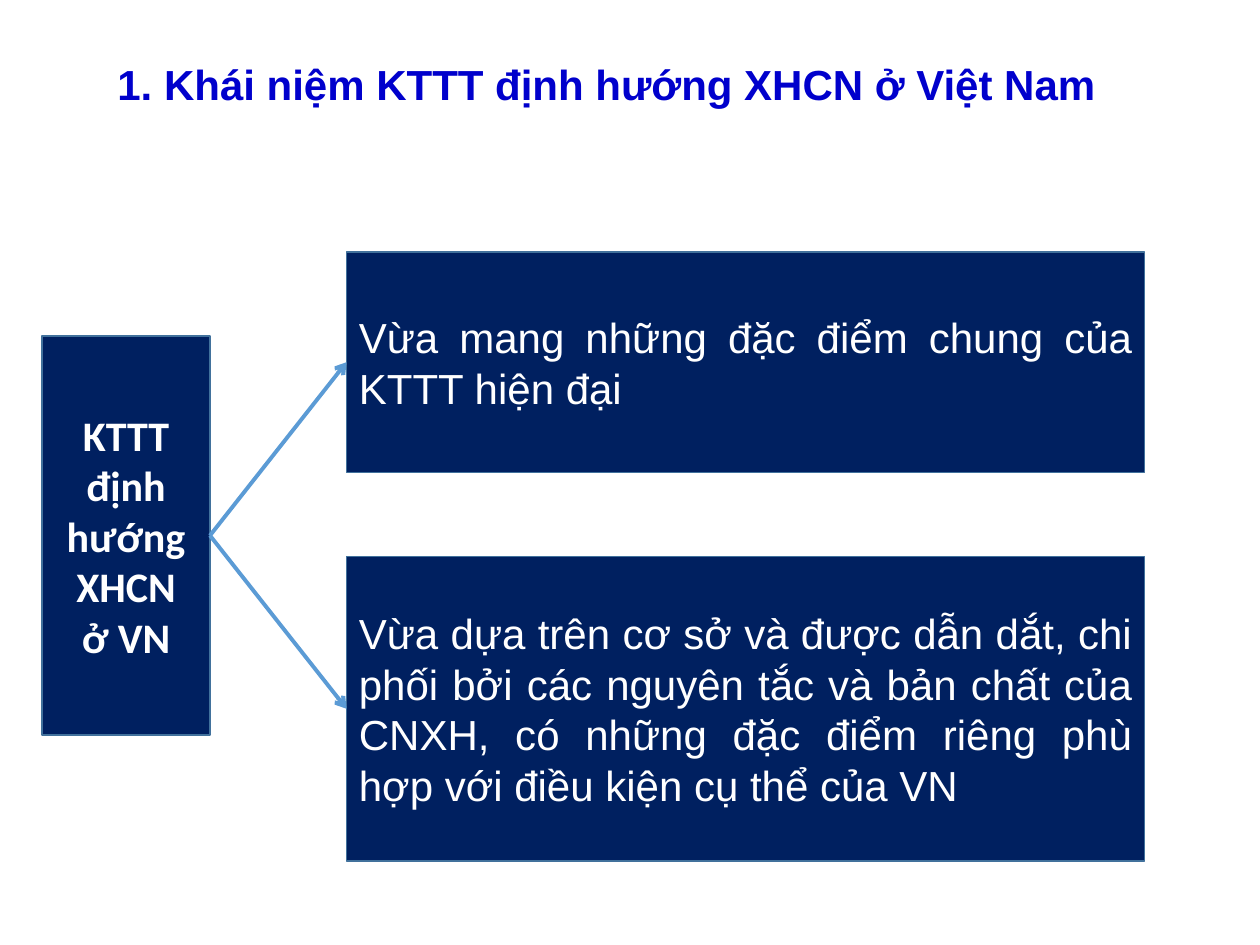
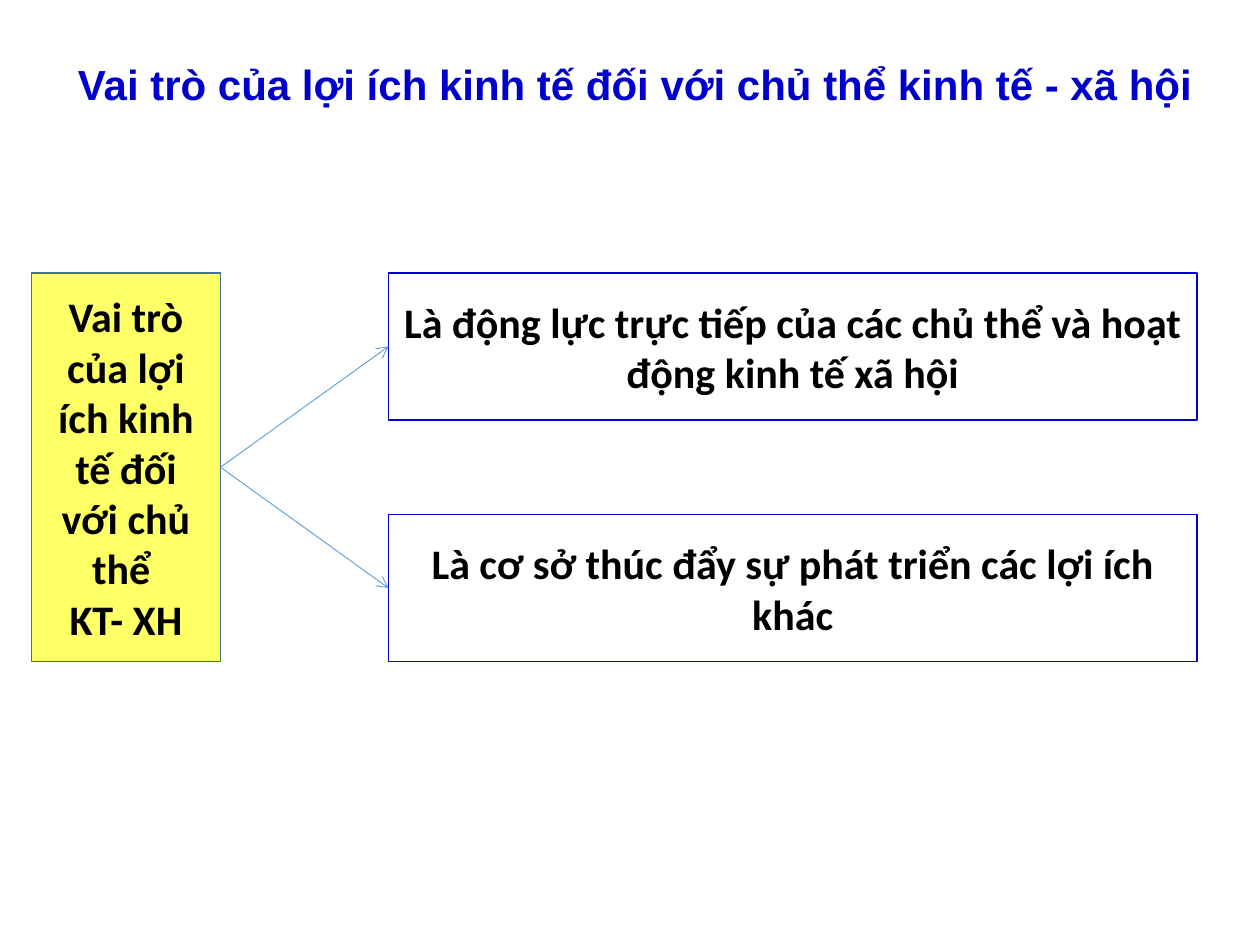
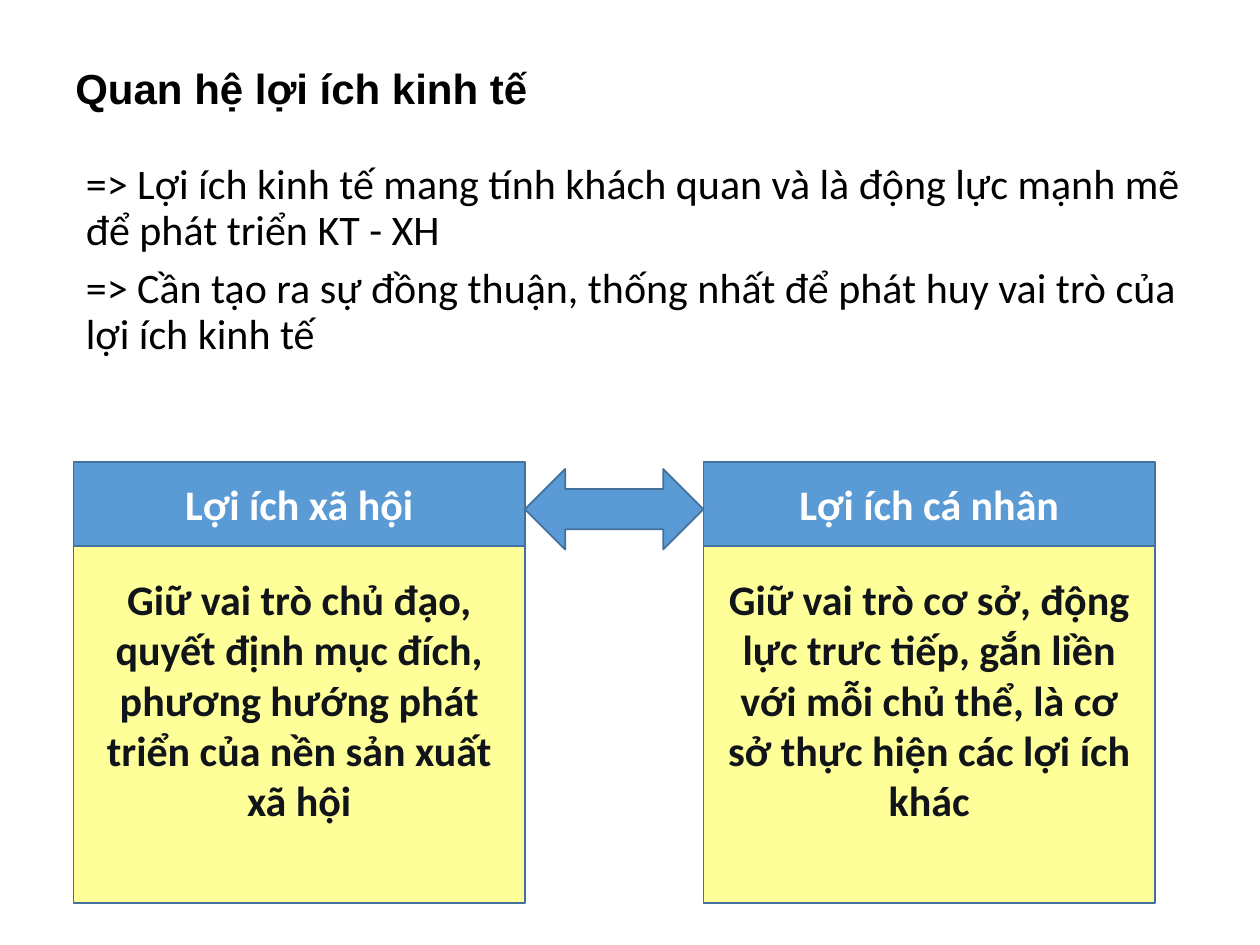
from dataclasses import dataclass
from typing import NamedTuple

from lxml import etree
from pptx import Presentation
from pptx import util as u
from pptx.dml import color
from pptx.enum import shapes, text
from pptx.oxml import ns

Pt = u.Pt
Kind = shapes.MSO_SHAPE
Align = text.PP_ALIGN
Anchor = text.MSO_ANCHOR


# Theme: colours, fonts and sizes
@dataclass(frozen=True)
class Theme:
    blue: str = "0000CC"
    navy: str = "002060"
    sky: str = "5B9BD5"
    edge: str = "41719C"
    lemon: str = "FFFF66"
    cream: str = "FFFF99"
    ink: str = "11151A"
    black: str = "000000"
    white: str = "FFFFFF"
    head: str = "Arial"
    body: str = "Calibri"
    size: float = 24


T = Theme()


class Area(NamedTuple):
    left: float
    top: float
    width: float
    height: float


@dataclass(frozen=True)
class Type:
    ink: str
    font: str = T.body
    bold: bool = True
    align: Align = Align.CENTER


@dataclass(frozen=True)
class Look:
    fill: str
    type: Type
    line: str = T.edge


@dataclass(frozen=True)
class Box:
    area: Area
    words: str
    look: Look


# Shared styles
BLUE = Type(T.blue, T.head)
PLAIN = Type(T.black, bold=False, align=Align.LEFT)
ROOT = Look(T.navy, Type(T.white))
LEAF = Look(T.navy, Type(T.white, T.head, False, Align.JUSTIFY))
YELLOW = Look(T.lemon, Type(T.black))
FRAME = Look(T.white, Type(T.black), T.blue)
HEAD = Look(T.sky, Type(T.white))
CARD = Look(T.cream, Type(T.ink))


def points(area: Area) -> list:
    return [Pt(side) for side in area]


def write(frame, words: str, style: Type) -> None:
    frame.word_wrap = True
    frame.text = words
    for para in frame.paragraphs:
        para.alignment = style.align
        for run in para.runs:
            font = run.font
            font.name, font.size, font.bold = style.font, Pt(T.size), style.bold
            font.color.rgb = color.RGBColor.from_string(style.ink)


def add_text(slide, area: Area, words: str, style: Type):
    frame = slide.shapes.add_textbox(*points(area)).text_frame
    write(frame, words, style)
    return frame


def add_shape(slide, area: Area, look: Look, kind: Kind = Kind.RECTANGLE):
    shape = slide.shapes.add_shape(kind, *points(area))
    shape.shadow.inherit = False
    shape.fill.solid()
    shape.fill.fore_color.rgb = color.RGBColor.from_string(look.fill)
    shape.line.color.rgb = color.RGBColor.from_string(look.line)
    shape.line.width = Pt(1)
    return shape


def add_box(slide, box: Box):
    shape = add_shape(slide, box.area, box.look)
    write(shape.text_frame, box.words, box.look.type)
    shape.text_frame.vertical_anchor = Anchor.MIDDLE
    return shape


def add_arrow(slide, start, end, width: float) -> None:
    arrow = slide.shapes.add_connector(shapes.MSO_CONNECTOR.STRAIGHT, 0, 0, 0, 0)
    arrow.begin_connect(start, 3)
    arrow.end_connect(end, 1)
    arrow.line.color.rgb = color.RGBColor.from_string(T.sky)
    arrow.line.width = Pt(width)
    line = arrow.line._get_or_add_ln()
    etree.SubElement(line, ns.qn("a:tailEnd"), type="arrow")
    etree.SubElement(arrow._element.spPr, ns.qn("a:effectLst"))


def add_fork(slide, root: Box, leaves: list[Box], width: float) -> None:
    start = add_box(slide, root)
    for leaf in leaves:
        add_arrow(slide, start, add_box(slide, leaf), width)


# Slide 1: the concept
def draw_concept(slide) -> None:
    add_text(slide, Area(60, 30, 624, 36),
             "1. Khái niệm KTTT định hướng XHCN ở Việt Nam",
             Type(T.blue, T.head, align=Align.JUSTIFY))
    root = Box(Area(24, 192, 96, 228), "KTTT định hướng XHCN\nở VN", ROOT)
    leaves = [
        Box(Area(198, 144, 456, 126),
            "Vừa mang những đặc điểm chung của KTTT hiện đại", LEAF),
        Box(Area(198, 318, 456, 174),
            "Vừa dựa trên cơ sở và được dẫn dắt, chi phối bởi các nguyên tắc "
            "và bản chất của CNXH, có những đặc điểm riêng phù hợp với điều "
            "kiện cụ thể của VN", LEAF),
    ]
    add_fork(slide, root, leaves, 2.25)


# Slide 2: the role of economic interests
def draw_role(slide) -> None:
    add_text(slide, Area(30, 30, 666, 36),
             "Vai trò của lợi ích kinh tế đối với chủ thể kinh tế - xã hội", BLUE)
    root = Box(Area(18, 156, 108, 222),
               "Vai trò của lợi ích kinh tế đối với chủ thể \nKT- XH", YELLOW)
    roles = [
        "Là động lực trực tiếp của các chủ thể và hoạt động kinh tế xã hội",
        "Là cơ sở thúc đẩy sự phát triển các lợi ích khác",
    ]
    leaves = [Box(Area(222, 156 + 138 * row, 462, 84), words, FRAME)
              for row, words in enumerate(roles)]
    add_fork(slide, root, leaves, 0.5)


# Slide 3: how the interests relate
def draw_links(slide) -> None:
    add_text(slide, Area(36, 32, 648, 54), "Quan hệ lợi ích kinh tế",
             Type(T.black, T.head, align=Align.LEFT))
    notes = add_text(
        slide, Area(42, 90, 648, 138),
        "=> Lợi ích kinh tế mang tính khách quan và là động lực mạnh mẽ "
        "để phát triển KT - XH\n"
        "=> Cần tạo ra sự đồng thuận, thống nhất để phát huy vai trò của "
        "lợi ích kinh tế", PLAIN)
    for para in notes.paragraphs:
        para.line_spacing = 0.9
    notes.paragraphs[1].space_before = Pt(7.5)

    cards = [
        ("Lợi ích xã hội",
         "Giữ vai trò chủ đạo, quyết định mục đích, phương hướng phát triển "
         "của nền sản xuất xã hội"),
        ("Lợi ích cá nhân",
         "Giữ vai trò cơ sở, động lực trưc tiếp, gắn liền với mỗi chủ thể, "
         "là cơ sở thực hiện các lợi ích khác"),
    ]
    for col, (name, words) in enumerate(cards):
        left = 42 + 360 * col
        add_box(slide, Box(Area(left, 264, 258, 48), name, HEAD))
        card = add_box(slide, Box(Area(left, 312, 258, 204), words, CARD))
        card.text_frame.margin_bottom = Pt(32.4)
    add_shape(slide, Area(300, 268, 102, 46), HEAD, Kind.LEFT_RIGHT_ARROW)


def main() -> None:
    deck = Presentation()
    deck.slide_width, deck.slide_height = Pt(720), Pt(540)
    for draw in (draw_concept, draw_role, draw_links):
        draw(deck.slides.add_slide(deck.slide_layouts[6]))
    deck.save("out.pptx")


if __name__ == "__main__":
    main()
